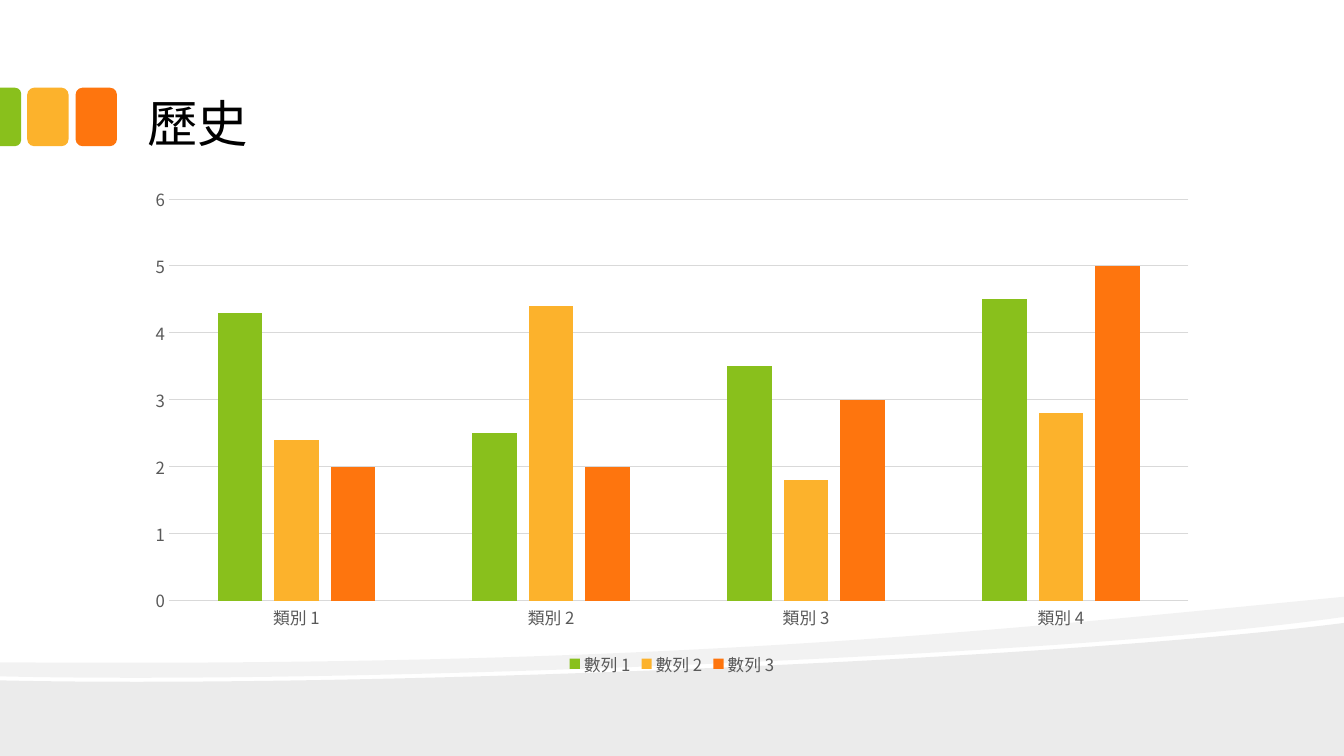
from lxml import etree
from pptx import Presentation
from pptx.chart.data import CategoryChartData
from pptx.dml.color import RGBColor
from pptx.enum.chart import XL_CHART_TYPE as CT, XL_LEGEND_POSITION as LP, XL_TICK_MARK as TM
from pptx.enum.shapes import MSO_SHAPE as MS
from pptx.enum.text import MSO_ANCHOR
from pptx.oxml.ns import qn
from pptx.util import Pt

PX = 9144  # 100 px to the inch
W, H = 1333, 750
FONT = "Noto Sans CJK SC"
GREEN, AMBER, ORANGE = "89C01C", "FCB22C", "FE750E"
GREY, RULE = "595959", "D9D9D9"


def px(*values):
    return [round(v * PX) for v in values]


def rgb(hex_color):
    return RGBColor.from_string(hex_color)


def paint(sp, color, alpha=None):
    sp.shadow.inherit = False
    sp.fill.solid()
    sp.fill.fore_color.rgb = rgb(color)
    sp.line.fill.background()
    if alpha is not None:
        clr = sp._element.spPr.find(qn("a:solidFill"))[0]
        etree.SubElement(clr, qn("a:alpha"), val=str(alpha * 1000))


def set_font(font, size, color):
    font.size, font.name = Pt(size), FONT
    font.color.rgb = rgb(color)
    etree.SubElement(font._element, qn("a:ea"), typeface=FONT)


def add_outline(slide, x, y, start, segments, alpha):
    """Segments of one point are lines, those of three are Bezier curves."""
    def at(point):
        return tuple(px(x + point[0], y + point[1]))

    fb = slide.shapes.build_freeform(*at(start))
    fb.add_line_segments([at(p) for seg in segments for p in seg], close=True)
    sp = fb.convert_to_shape()
    lines = iter(list(sp._element.iter(qn("a:lnTo"))))
    for seg in segments:
        parts = [next(lines) for _ in seg]
        if len(seg) == 3:
            bezier = etree.Element(qn("a:cubicBezTo"))
            parts[0].addprevious(bezier)
            for part in parts:
                bezier.append(part[0])
                part.getparent().remove(part)
    paint(sp, "000000", alpha)


def add_waves(slide, x, y, w, h):
    # Ground below the white gap
    add_outline(slide, x, y, (w, 26), [
        [(w, h)], [(0, h)], [(0, 83)],
        [(352, 91), (1042, 63), (w, 26)]], 8)
    # Lighter band above it
    add_outline(slide, x, y, (w, 0), [
        [(w, 20)],
        [(1255, 31), (1149, 41), (1029, 49)],
        [(698, 71), (258, 85), (0, 79)],
        [(0, 65)],
        [(652, 70), (971, 35), (w, 0)]], 5)


def add_tabs(slide, x, y, w, h):
    gap = 7
    # Half tab at the slide edge, turned so that its right corners are round
    half = w // 2 + 1
    sp = slide.shapes.add_shape(MS.ROUND_2_SAME_RECTANGLE,
                                *px(x + (half - h) / 2, y + (h - half) / 2, h, half))
    sp.rotation = 90
    sp.adjustments[0] = 0.292
    paint(sp, GREEN)
    # Whole tabs
    for i, color in enumerate((AMBER, ORANGE)):
        left = x + half + gap - 1 + i * (w + gap)
        sp = slide.shapes.add_shape(MS.ROUNDED_RECTANGLE, *px(left, y, w, h))
        paint(sp, color)


def add_title(slide, text, x, y, w, h):
    tf = slide.shapes.add_textbox(*px(x, y, w, h)).text_frame
    tf.word_wrap = True
    tf.vertical_anchor = MSO_ANCHOR.BOTTOM
    tf.margin_left, tf.margin_top, tf.margin_right, tf.margin_bottom = px(13, 7, 13, 7)
    tf.text = text
    set_font(tf.paragraphs[0].runs[0].font, 36, "000000")


def add_history_chart(slide, x, y, w, h):
    data = CategoryChartData()
    data.categories = [f"類別 {n}" for n in range(1, 5)]
    rows = (4.3, 2.5, 3.5, 4.5), (2.4, 4.4, 1.8, 2.8), (2, 2, 3, 5)
    for n, values in enumerate(rows, 1):
        data.add_series(f"數列 {n}", values)
    chart = slide.shapes.add_chart(CT.COLUMN_CLUSTERED, *px(x, y, w, h), data).chart
    chart.has_title = False
    set_font(chart.font, 10, "000000")

    # Columns
    plot = chart.plots[0]
    plot.vary_by_categories = False
    plot.gap_width, plot.overlap = 219, -27
    for series, color in zip(plot.series, (GREEN, AMBER, ORANGE)):
        series.format.fill.solid()
        series.format.fill.fore_color.rgb = rgb(color)

    # Axes and gridlines
    cat, val = chart.category_axis, chart.value_axis
    for axis in (cat, val):
        axis.major_tick_mark = axis.minor_tick_mark = TM.NONE
        set_font(axis.tick_labels.font, 12, GREY)
    val.has_major_gridlines = True
    val.format.line.fill.background()
    for line in (cat.format.line, val.major_gridlines.format.line):
        line.color.rgb = rgb(RULE)
        line.width = Pt(0.75)

    # Legend
    chart.has_legend = True
    chart.legend.position = LP.BOTTOM
    chart.legend.include_in_layout = False
    set_font(chart.legend.font, 12, GREY)


def main():
    prs = Presentation()
    prs.slide_width, prs.slide_height = px(W, H)
    slide = prs.slides.add_slide(prs.slide_layouts[6])
    add_waves(slide, 0, 592, W, H - 592)
    add_tabs(slide, 0, 87, 41, 58)
    add_title(slide, "歷史", 133, 16, 1066, 142)
    add_history_chart(slide, 133, 175, 1067, 500)
    prs.save("out.pptx")


if __name__ == "__main__":
    main()
